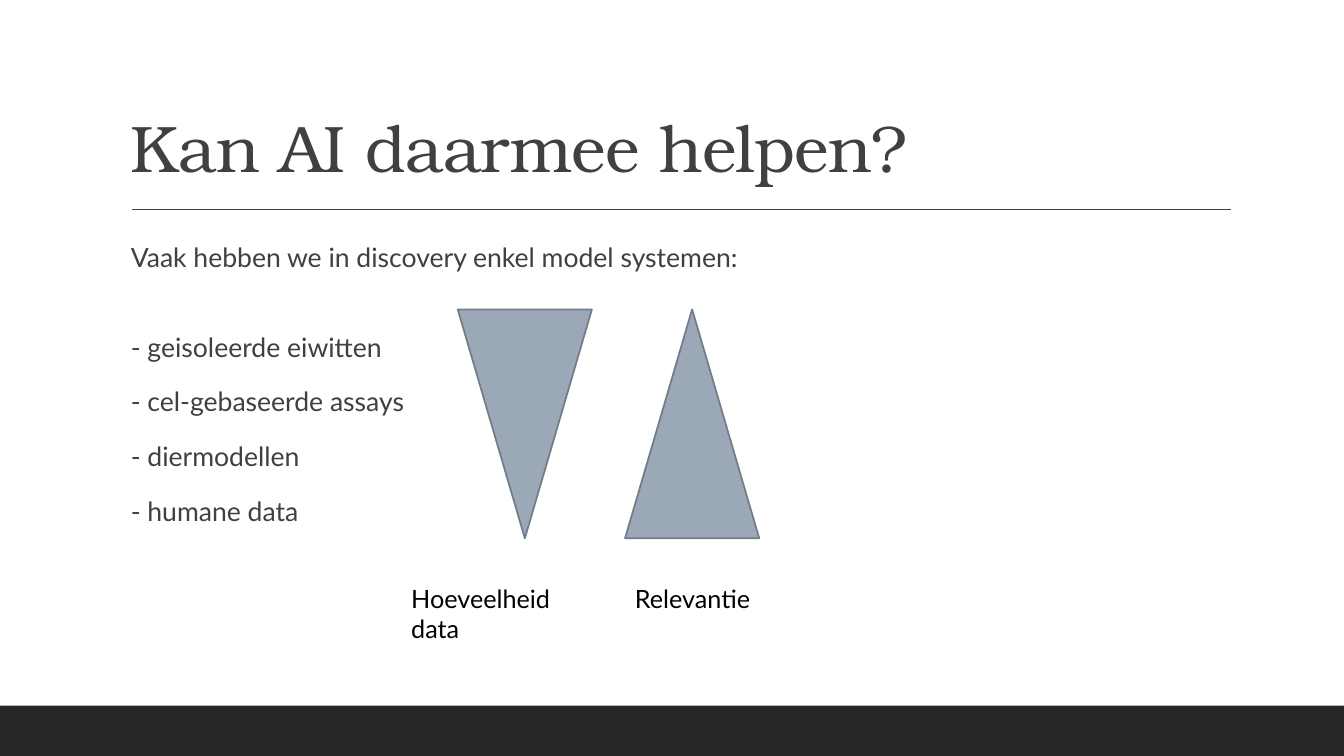
from lxml import etree
from pptx import Presentation
from pptx.dml.color import RGBColor
from pptx.enum.shapes import MSO_CONNECTOR as Connector, MSO_SHAPE as Shape
from pptx.enum.text import MSO_ANCHOR as Anchor
from pptx.oxml.ns import qn
from pptx.util import Inches, Pt

WIDTH, HEIGHT = Inches(13.33), Inches(7.5)
COLORS = {"bar": "262626", "text": "404040", "label": "000000",
          "triangle": "9BA8B7", "outline": "737C87"}
TITLE_FONT, BODY_FONT = "TeX Gyre Bonum", "Lato"

INTRO = "Vaak hebben we in discovery enkel model systemen:"
MODELS = ["geisoleerde eiwitten", "cel-gebaseerde assays", "diermodellen", "humane data"]
# Triangle column, rotation, label, label column, label width
MEASURES = [(34.06, 180, "Hoeveelheid data", 29.86, 15.75),
            (46.51, 0, "Relevantie", 46.51, 12.83)]


def grid(left, top, width, height):
    """Turn columns and rows of a 100 by 100 grid into slide lengths."""
    return [round(share * side / 100) for share, side in
            zip((left, top, width, height), (WIDTH, HEIGHT) * 2)]


def color(name):
    return RGBColor.from_string(COLORS[name])


def apply(target, formats):
    for name, value in formats.items():
        setattr(target, name, value)


def add_text(slide, place, lines, size, font=BODY_FONT, fill="text", frame=None, spacing=None):
    text_frame = slide.shapes.add_textbox(*grid(*place)).text_frame
    apply(text_frame, {"word_wrap": True, **(frame or {})})
    for index, line in enumerate(lines):
        paragraph = text_frame.paragraphs[0] if index == 0 else text_frame.add_paragraph()
        apply(paragraph, spacing or {})
        run = paragraph.add_run()
        run.text = line
        apply(run.font, {"name": font, "size": Pt(size)})
        run.font.color.rgb = color(fill)
    return text_frame.paragraphs


def add_filled(slide, kind, place, fill, outline=None, rotation=0):
    shape = slide.shapes.add_shape(kind, *grid(*place))
    shape.shadow.inherit = False
    shape.rotation = rotation
    shape.fill.solid()
    shape.fill.fore_color.rgb = color(fill)
    if outline:
        shape.line.color.rgb = color(outline)
        shape.line.width = Pt(1.25)
    else:
        shape.line.fill.background()


def add_rule(slide, left, right, row):
    start_x, start_y, end_x, end_y = grid(left, row, right, row)
    rule = slide.shapes.add_connector(Connector.STRAIGHT, start_x, start_y, end_x, end_y)
    rule.line.color.rgb = color("text")
    rule.line.width = Pt(1)
    etree.SubElement(rule._element.spPr, qn("a:effectLst"))


def main():
    presentation = Presentation()
    apply(presentation, {"slide_width": WIDTH, "slide_height": HEIGHT})
    slide = presentation.slides.add_slide(presentation.slide_layouts[6])

    # Footer bar and title rule
    add_filled(slide, Shape.RECTANGLE, (0, 93.33, 100, 6.67), "bar")
    add_rule(slide, 9.83, 91.6, 27.73)

    # Title, slightly tightened
    title = add_text(slide, (9, 4.13, 82.52, 21.2), ["Kan AI daarmee helpen?"], 47, TITLE_FONT,
                     frame={"vertical_anchor": Anchor.BOTTOM}, spacing={"line_spacing": 0.9})
    title[0].runs[0].font._element.set("spc", "-50")

    # Introduction and model systems
    body = add_text(slide, (9, 30.8, 82.52, 54.8), [INTRO] + [f"- {model}" for model in MODELS], 19,
                    frame={"margin_right": 0},
                    spacing={"line_spacing": 1.1, "space_before": Pt(12), "space_after": Pt(2)})
    apply(body[0], {"space_before": Pt(0), "space_after": Pt(27)})

    # Opposed triangles with their labels
    for column, rotation, label, label_column, label_width in MEASURES:
        add_filled(slide, Shape.ISOSCELES_TRIANGLE, (column, 40.93, 9.98, 30.27),
                   "triangle", "outline", rotation)
        add_text(slide, (label_column, 76.53, label_width, 5.33), [label], 18, fill="label")

    presentation.save("out.pptx")


if __name__ == "__main__":
    main()
